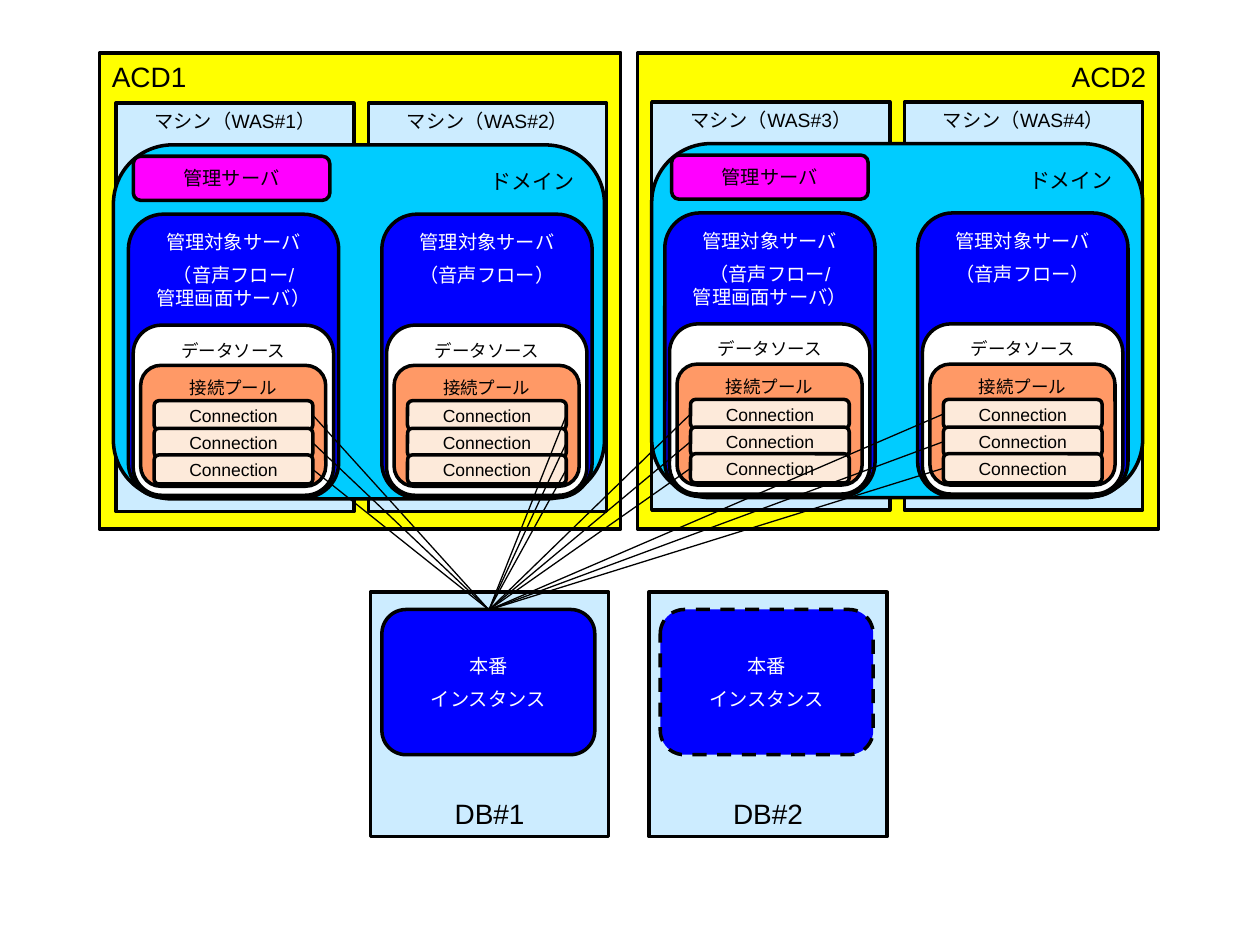
from pptx import Presentation
from pptx.dml.color import RGBColor
from pptx.enum import dml, shapes, text
from pptx.oxml import parse_xml
from pptx.oxml.ns import nsdecls
from pptx.util import Pt

COLORS = {
    "black": "000000", "white": "FFFFFF", "yellow": "FFFF00", "machine": "CCECFF",
    "domain": "00CCFF", "blue": "0000FF", "admin": "FF00FF", "pool": "FF9966",
    "connection": "FDEADA",
}
RECT = shapes.MSO_SHAPE.RECTANGLE
ROUND = shapes.MSO_SHAPE.ROUNDED_RECTANGLE
LEFT, CENTER, RIGHT = text.PP_ALIGN.LEFT, text.PP_ALIGN.CENTER, text.PP_ALIGN.RIGHT
TOP, MIDDLE, BOTTOM = text.MSO_ANCHOR.TOP, text.MSO_ANCHOR.MIDDLE, text.MSO_ANCHOR.BOTTOM

SERVER = "管理対象サーバ"
VOICE_AND_ADMIN = [SERVER, "（音声フロー/", "管理画面サーバ）"]
VOICE = [SERVER, "（音声フロー）"]
SITES = [
    dict(name="ACD1", align=LEFT, x=56.9, domain=64.8, admin=76.2, dy=0,
         machines=[("WAS#1", 66.2, 73.4, VOICE_AND_ADMIN), ("WAS#2", 210.5, 218.2, VOICE)]),
    dict(name="ACD2", align=RIGHT, x=364.3, domain=372.4, admin=383.8, dy=-0.7,
         machines=[("WAS#3", 372.4, 379.9, VOICE_AND_ADMIN), ("WAS#4", 516.8, 524.4, VOICE)]),
]
DATABASES = [("DB#1", 211.7, False), ("DB#2", 370.8, True)]
INSTANCE = ["本番", "インスタンス"]
CONNECTION_TOPS = [229, 244.8, 260]
HUB = (279.4, 348.5)

prs = Presentation()
prs.slide_width, prs.slide_height = Pt(720), Pt(540)
s = prs.slides.add_slide(prs.slide_layouts[6])


def box(kind, x, y, w, h, fill, lines, size, color="black", align=CENTER, anchor=TOP):
    sp = s.shapes.add_shape(kind, Pt(x), Pt(y), Pt(w), Pt(h))
    sp.shadow.inherit = False
    sp.fill.solid()
    sp.fill.fore_color.rgb = RGBColor.from_string(COLORS[fill])
    sp.line.color.rgb = RGBColor.from_string(COLORS["black"])
    sp.line.width = Pt(2)
    tf = sp.text_frame
    tf.text = "\n".join(lines)
    tf.word_wrap = True
    tf.vertical_anchor = anchor
    for i, p in enumerate(tf.paragraphs):
        p.alignment = align
        p.space_before = Pt(size / 2 if i == 1 else 0)
        for r in p.runs:
            r.font.size = Pt(size)
            r.font.name = "Arial"
            r.font.color.rgb = RGBColor.from_string(COLORS[color])
    return sp


def link(start, end):
    c = s.shapes.add_connector(shapes.MSO_CONNECTOR.STRAIGHT, *map(Pt, start + end))
    c.line.width = Pt(0.75)
    c.line.color.rgb = RGBColor.from_string(COLORS["black"])
    c._element.spPr.append(parse_xml("<a:effectLst %s/>" % nsdecls("a")))


def managed_server(x, dy, lines):
    box(ROUND, x, 122.4 + dy, 120.2, 162, "blue", lines, 11, "white")
    box(ROUND, x + 2.7, 185.8 + dy, 114.5, 97.2, "white", ["データソース"], 10)
    box(ROUND, x + 7, 208.8 + dy, 105.8, 69.1, "pool", ["接続プール"], 10)
    for top in CONNECTION_TOPS:
        box(ROUND, x + 14.7, top + dy, 90.7, 16.6, "connection", ["Connection"], 10,
            anchor=MIDDLE)


for name, x, standby in DATABASES:
    box(RECT, x, 338.4, 136.1, 139.7, "machine", [name], 16, anchor=BOTTOM)
    instance = box(ROUND, x + 6.5, 348.3, 121.7, 83, "blue", INSTANCE, 11, "white",
                   anchor=MIDDLE)
    if standby:
        instance.line.dash_style = dml.MSO_LINE.DASH

for site in SITES:
    dy = site["dy"]
    box(RECT, site["x"], 30.2, 297.8, 272.2, "yellow", [site["name"]], 16, align=site["align"])
    for name, x, _, _ in site["machines"]:
        box(RECT, x, 59 + dy, 136.1, 233.3, "machine", [f"マシン（{name}）"], 11)
    box(ROUND, site["domain"], 82.8 + dy, 280.6, 202.3, "domain", ["ドメイン"], 12, align=RIGHT)
    for _, _, x, lines in site["machines"]:
        managed_server(x, dy, lines)
    box(ROUND, site["admin"], 89.3 + dy, 112.3, 25.2, "admin", ["管理サーバ"], 11, anchor=MIDDLE)

for site in SITES:
    for _, _, x, _ in site["machines"]:
        edge = x + (14.7 if site["align"] == RIGHT else 105.4)
        for top in CONNECTION_TOPS:
            link((edge, top + 8.3 + site["dy"]), HUB)

prs.save("out.pptx")
